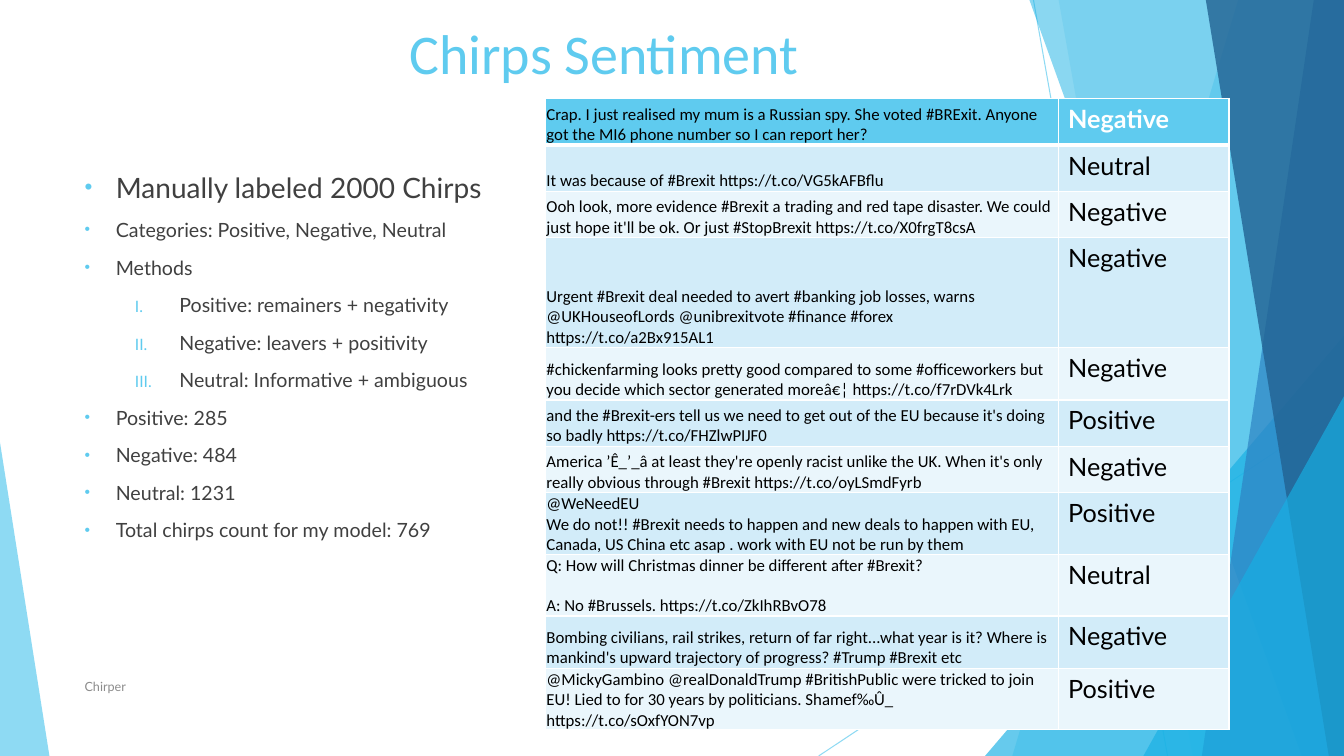
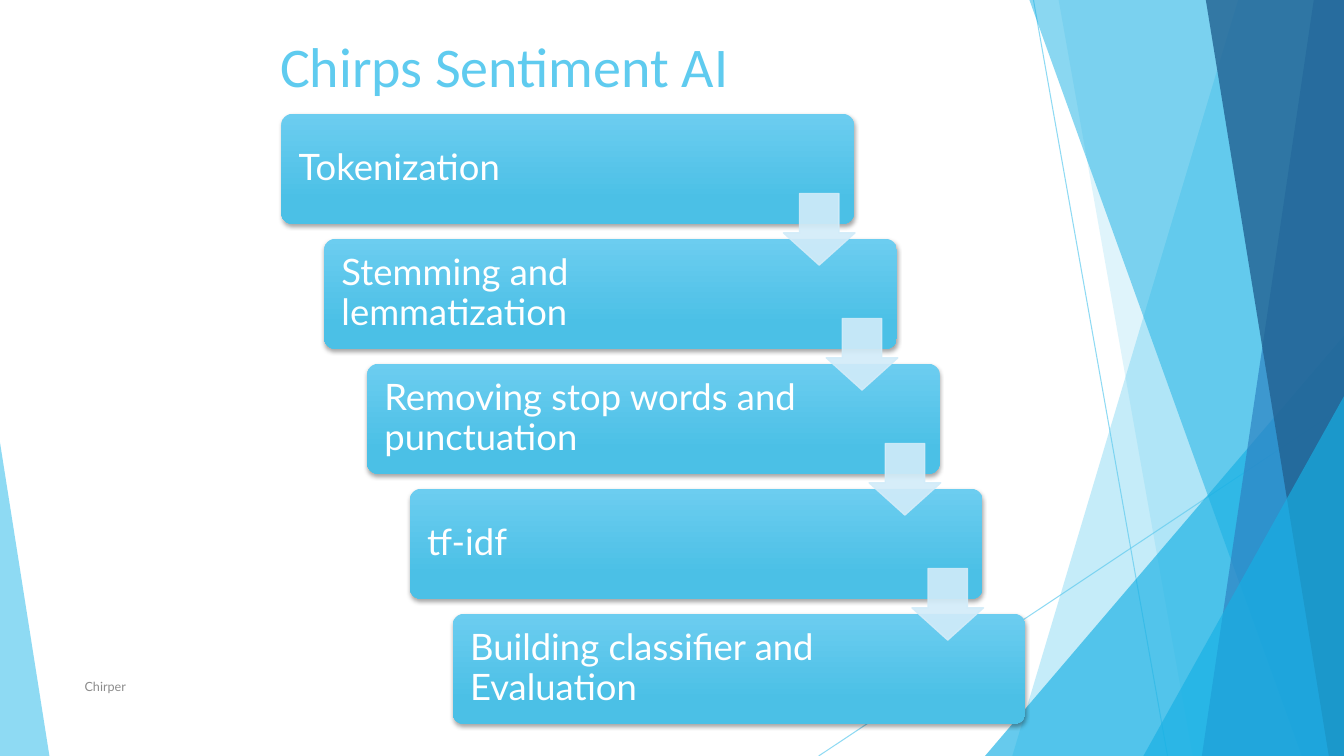
from dataclasses import dataclass

from lxml.etree import SubElement
from pptx import Presentation
from pptx.dml.color import RGBColor
from pptx.enum.shapes import MSO_CONNECTOR as Link, MSO_SHAPE as Preset
from pptx.enum.text import MSO_ANCHOR as Anchor, PP_ALIGN as Align
from pptx.oxml.ns import qn
from pptx.util import Inches, Pt


@dataclass(frozen=True)
class Theme:
    sky: str = "5FCBEF"
    azure: str = "17B0E4"
    blue: str = "2E83C3"
    navy: str = "226292"
    pale: str = "D2ECF9"
    paler: str = "EAF6FC"
    step_top: str = "6CCDF0"
    step_bottom: str = "4BC0E6"
    body: str = "404040"
    muted: str = "8C8C8C"
    black: str = "000000"
    white: str = "FFFFFF"
    heading_font: str = "Calibri"
    body_font: str = "Lato"
    title_size: int = 40
    step_size: int = 26
    lead_size: int = 20
    label_size: int = 18
    text_size: int = 14
    tweet_size: int = 12
    footer_size: int = 9


THEME = Theme()
# The grid has columns and rows of one inch
COLS, ROWS = 13.33, 7.5


@dataclass(frozen=True)
class Box:
    left: float
    top: float
    width: float
    height: float

    def emu(self):
        return [Inches(n) for n in (self.left, self.top, self.width, self.height)]


def rgb(code):
    return RGBColor.from_string(code)


def add_span(para, text, size, color, font=THEME.body_font, bold=False):
    span = para.add_run()
    span.text = text
    span.font.size, span.font.name, span.font.bold = Pt(size), font, bold
    span.font.color.rgb = rgb(color)


def add_text_box(page, box, anchor):
    frame = page.shapes.add_textbox(*box.emu()).text_frame
    frame.word_wrap = True
    frame.vertical_anchor = anchor
    return frame


def set_alpha(shape, percent):
    for color in shape._element.spPr.iter(qn("a:srgbClr")):
        SubElement(color, qn("a:alpha")).set("val", str(percent * 1000))


def paint(shape, color, alpha, line_width=0):
    shape.shadow.inherit = False
    shape.fill.solid()
    shape.fill.fore_color.rgb = rgb(color)
    if line_width:
        shape.line.color.rgb = rgb(color)
        shape.line.width = Pt(line_width)
    else:
        shape.line.fill.background()
    set_alpha(shape, alpha)


# Shared decoration, title and footer
HAIRLINES = [(10.25, 0, 11.58, ROWS), (COLS, 4.03, 8.12, ROWS)]
BACK_RIBBONS = [(12.28, 10.04, THEME.sky, 36), (10.5, 11.83, THEME.sky, 20)]
FRONT_RIBBONS = [
    (10.21, 12.91, THEME.azure, 50),
    (13.03, 11.92, THEME.blue, 70),
    (11.96, 13.18, THEME.navy, 80),
]


def add_hairline(page, x1, y1, x2, y2):
    line = page.shapes.add_connector(
        Link.STRAIGHT, Inches(x1), Inches(y1), Inches(x2), Inches(y2))
    line.line.color.rgb = rgb(THEME.sky)
    line.line.width = Pt(0.75)
    set_alpha(line, 70)
    SubElement(line._element.spPr, qn("a:effectLst"))


def add_ribbon(page, top_x, bottom_x, color, alpha):
    corners = [(COLS, 0), (COLS, ROWS), (bottom_x, ROWS)]
    outline = page.shapes.build_freeform(Inches(top_x), 0)
    outline.add_line_segments([(Inches(x), Inches(y)) for x, y in corners])
    paint(outline.convert_to_shape(), color, alpha)


def add_corner(page, left, top, width, apex, color, alpha):
    box = Box(left, top, width, ROWS - top)
    corner = page.shapes.add_shape(Preset.ISOSCELES_TRIANGLE, *box.emu())
    corner.adjustments[0] = apex
    paint(corner, color, alpha)


def add_backdrop(page):
    for ends in HAIRLINES:
        add_hairline(page, *ends)
    for ribbon in BACK_RIBBONS:
        add_ribbon(page, *ribbon)
    add_corner(page, 9.77, 3.33, 3.56, 1, THEME.azure, 66)
    for ribbon in FRONT_RIBBONS:
        add_ribbon(page, *ribbon)
    add_corner(page, 11.34, 3.93, 1.99, 1, THEME.azure, 66)
    add_corner(page, 0, 4.39, 0.49, 0, THEME.sky, 70)


def add_title(page, box, text, align):
    para = add_text_box(page, box, Anchor.BOTTOM).paragraphs[0]
    para.alignment = align
    add_span(para, text, THEME.title_size, THEME.sky, THEME.heading_font)


def add_footer(page, box):
    para = add_text_box(page, box, Anchor.MIDDLE).paragraphs[0]
    add_span(para, "Chirper", THEME.footer_size, THEME.muted)


def new_page(deck, title_box, title, align):
    page = deck.slides.add_slide(deck.slide_layouts[6])
    add_backdrop(page)
    add_title(page, title_box, title, align)
    add_footer(page, Box(0.74, 6.61, 6.89, 0.4))
    return page


# Bulleted list
POINTS = [
    ("Manually labeled 2000 Chirps", 0),
    ("Categories: Positive, Negative, Neutral", 0),
    ("Methods", 0),
    ("Positive: remainers + negativity", 1),
    ("Negative: leavers + positivity", 1),
    ("Neutral: Informative + ambiguous", 1),
    ("Positive: 285", 0),
    ("Negative: 484", 0),
    ("Neutral: 1231", 0),
    ("Total chirps count for my model: 769", 0),
]


def set_bullet(para, level):
    margin, hang = [(0.31, 0.31), (0.94, 0.44)][level]
    props = para._p.get_or_add_pPr()
    props.set("marL", str(Inches(margin)))
    props.set("indent", str(-Inches(hang)))
    color = SubElement(props, qn("a:buClr"))
    SubElement(color, qn("a:srgbClr")).set("val", THEME.sky)
    SubElement(props, qn("a:buSzPct")).set("val", "80000")
    SubElement(props, qn("a:buFont")).set("typeface", "Arial")
    if level:
        SubElement(props, qn("a:buAutoNum")).set("type", "romanUcPeriod")
    else:
        SubElement(props, qn("a:buChar")).set("char", "•")


def add_points(page, box):
    frame = add_text_box(page, box, Anchor.TOP)
    for index, (text, level) in enumerate(POINTS):
        para = frame.add_paragraph() if index else frame.paragraphs[0]
        para.level = level
        para.space_before = Pt(10)
        set_bullet(para, level)
        size = THEME.text_size if index else THEME.lead_size
        add_span(para, text, size, THEME.body)


# Table of labeled tweets: row height, label, paragraphs
TWEETS = [
    (0.46, "Negative", ["Crap. I just realised my mum is a Russian spy. She voted #BRExit. "
                        "Anyone got the MI6 phone number so I can report her?"]),
    (0.46, "Neutral", ["It was because of #Brexit https://t.co/VG5kAFBflu"]),
    (0.46, "Negative", ["Ooh look, more evidence #Brexit a trading and red tape disaster. We could "
                        "just hope it'll be ok. Or just #StopBrexit https://t.co/X0frgT8csA"]),
    (1.09, "Negative", ["Urgent #Brexit deal needed to avert #banking job losses, warns "
                        "@UKHouseofLords @unibrexitvote #finance #forex https://t.co/a2Bx915AL1"]),
    (0.52, "Negative", ["#chickenfarming looks pretty good compared to some #officeworkers but "
                        "you decide which sector generated moreâ€¦ https://t.co/f7rDVk4Lrk"]),
    (0.46, "Positive", ["and the #Brexit-ers tell us we need to get out of the EU because it's "
                        "doing so badly https://t.co/FHZlwPIJF0"]),
    (0.46, "Negative", ["America ’Ê_’_â at least they're openly racist unlike the UK. When it's "
                        "only really obvious through #Brexit https://t.co/oyLSmdFyrb"]),
    (0.52, "Positive", ["@WeNeedEU",
                        "We do not!! #Brexit needs to happen and new deals to happen with EU, "
                        "Canada, US China etc asap . work with EU not be run by them"]),
    (0.52, "Neutral", ["Q: How will Christmas dinner be different after #Brexit?",
                       "A: No #Brussels. https://t.co/ZkIhRBvO78"]),
    (0.52, "Negative", ["Bombing civilians, rail strikes, return of far right...what year is it? "
                        "Where is mankind's upward trajectory of progress? #Trump #Brexit etc"]),
    (0.52, "Positive", ["@MickyGambino @realDonaldTrump #BritishPublic were tricked to join EU! "
                        "Lied to for 30 years by politicians. Shamef‰Û_ https://t.co/sOxfYON7vp"]),
]


def style_cell(cell, row):
    props = cell._tc.get_or_add_tcPr()
    widths = {"lnL": 1, "lnR": 1, "lnT": 3 if row == 1 else 1, "lnB": 1 if row else 3}
    for edge, width in widths.items():
        border = SubElement(props, qn("a:" + edge), w=str(Pt(width)))
        fill = SubElement(border, qn("a:solidFill"))
        SubElement(fill, qn("a:srgbClr")).set("val", THEME.white)
    cell.fill.solid()
    band = THEME.pale if row % 2 else THEME.paler
    cell.fill.fore_color.rgb = rgb(band if row else THEME.sky)


def fill_tweet(cell, paragraphs):
    cell.vertical_anchor = Anchor.BOTTOM
    cell.margin_left = cell.margin_right = cell.margin_top = Inches(0.01)
    cell.margin_bottom = 0
    for index, text in enumerate(paragraphs):
        para = cell.text_frame.add_paragraph() if index else cell.text_frame.paragraphs[0]
        if text.startswith("A:"):
            para.space_before = Pt(14.5)
        add_span(para, text, THEME.tweet_size, THEME.black, THEME.heading_font)


def add_tweet_table(page, box):
    table = page.shapes.add_table(len(TWEETS), 2, *box.emu()).table
    for column, share in zip(table.columns, (0.75, 0.25)):
        column.width = Inches(box.width * share)
    for row, (height, label, paragraphs) in enumerate(TWEETS):
        table.rows[row].height = Inches(height)
        tweet, sentiment = table.cell(row, 0), table.cell(row, 1)
        style_cell(tweet, row)
        style_cell(sentiment, row)
        fill_tweet(tweet, paragraphs)
        color = THEME.black if row else THEME.white
        add_span(sentiment.text_frame.paragraphs[0], label,
                 THEME.label_size, color, bold=row == 0)


# Staircase of processing steps
STEPS = ["Tokenization", "Stemming and lemmatization", "Removing stop words and punctuation",
         "tf-idf", "Building classifier and Evaluation"]
STEP_WIDTH, STEP_HEIGHT, ARROW = 5.68, 1.09, 0.71


def add_shadow(shape):
    shape.shadow.inherit = False
    effects = shape._element.spPr.find(qn("a:effectLst"))
    shadow = SubElement(effects, qn("a:outerShdw"), blurRad=str(Pt(3)), dist=str(Pt(2)),
                        dir="5400000", rotWithShape="0")
    color = SubElement(shadow, qn("a:srgbClr"), val=THEME.black)
    SubElement(color, qn("a:alpha"), val="35000")


def add_step(page, box, text):
    step = page.shapes.add_shape(Preset.ROUNDED_RECTANGLE, *box.emu())
    step.adjustments[0] = 0.1
    step.fill.gradient()
    step.fill.gradient_angle = 270
    colors = [(0, THEME.step_top), (0.78, THEME.step_bottom)]
    for stop, (position, color) in zip(step.fill.gradient_stops, colors):
        stop.position, stop.color.rgb = position, rgb(color)
    step.line.fill.background()
    add_shadow(step)
    frame = step.text_frame
    frame.word_wrap, frame.vertical_anchor = True, Anchor.MIDDLE
    frame.margin_left, frame.margin_right = Inches(0.14), Inches(1.27)
    para = frame.paragraphs[0]
    para.alignment, para.line_spacing = Align.LEFT, 0.9
    add_span(para, text, THEME.step_size, THEME.white)


def add_staircase(page, box):
    across = (box.width - STEP_WIDTH) / (len(STEPS) - 1)
    down = (box.height - STEP_HEIGHT) / (len(STEPS) - 1)
    corners = [(box.left + i * across, box.top + i * down) for i in range(len(STEPS))]
    for (left, top), text in zip(corners, STEPS):
        add_step(page, Box(left, top, STEP_WIDTH, STEP_HEIGHT), text)
    for left, top in corners[:-1]:
        place = Box(left + STEP_WIDTH - ARROW + 0.01, top + 0.79, ARROW, ARROW)
        arrow = page.shapes.add_shape(Preset.DOWN_ARROW, *place.emu())
        arrow.adjustments[0], arrow.adjustments[1] = 0.55, 0.45
        paint(arrow, THEME.pale, 90, line_width=1)


deck = Presentation()
deck.slide_width, deck.slide_height = Inches(COLS), Inches(ROWS)
labels = new_page(deck, Box(3.63, 0.08, 4.72, 0.82), "Chirps Sentiment", Align.CENTER)
add_points(labels, Box(0.74, 1.64, 9.32, 4.23))
add_tweet_table(labels, Box(5.41, 0.98, 6.78, 6.28))
pipeline = new_page(deck, Box(2.68, 0.19, 5.95, 0.84), "Chirps Sentiment AI", Align.LEFT)
add_staircase(pipeline, Box(2.79, 1.13, 7.38, 6.05))
deck.save("out.pptx")
